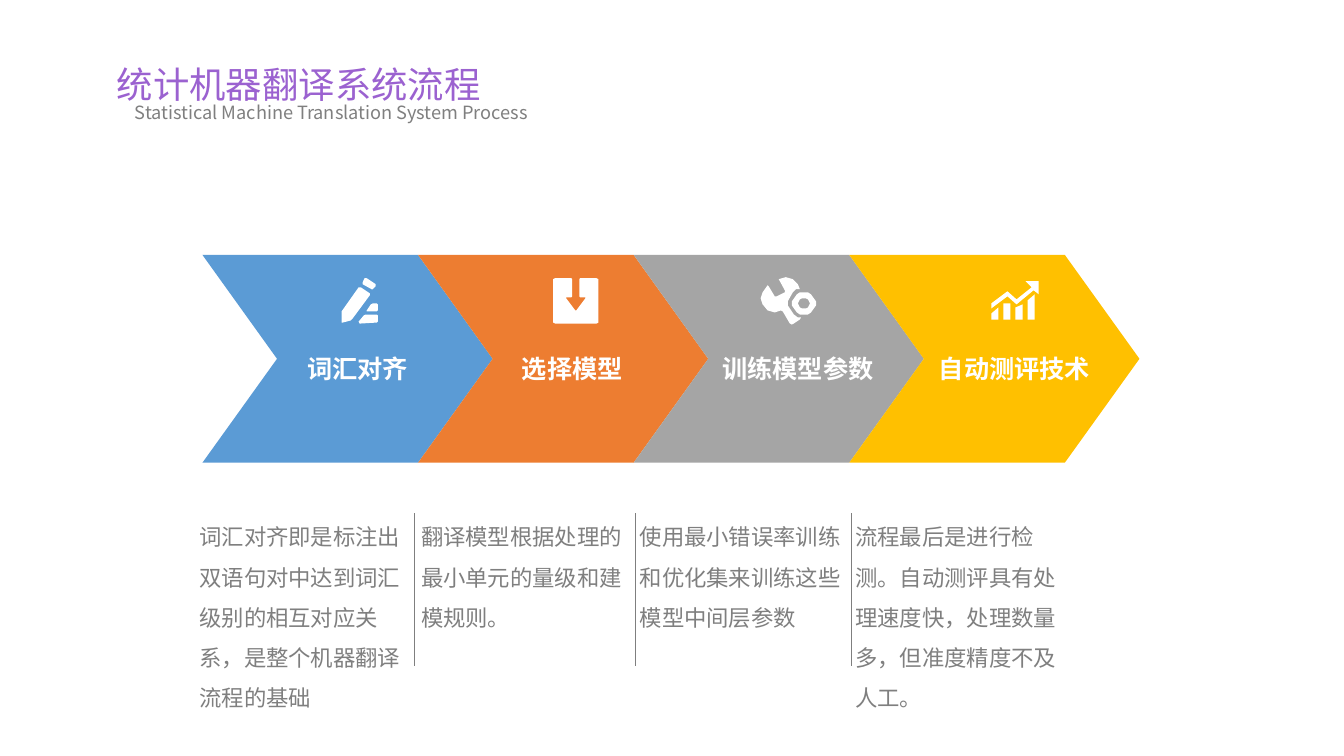
from collections import namedtuple
from math import cos, pi, sin

from lxml import etree
from pptx import Presentation, util as u
from pptx.dml.color import RGBColor
from pptx.enum import shapes, text
from pptx.oxml.ns import qn

PX = 9144
FONT = "Noto Sans CJK SC"
GRAY, WHITE, PURPLE = "7F7F7F", "FFFFFF", "9B62D0"
BLUE, ORANGE, SILVER, GOLD = "5B9BD5", "ED7D31", "A5A5A5", "FFC000"
color = RGBColor.from_string

CHEVRON_LEFT, CHEVRON_TOP = 201, 253
CHEVRON_WIDTH, CHEVRON_HEIGHT, CHEVRON_POINT = 288, 206, 74
CHEVRON_PITCH = CHEVRON_WIDTH - CHEVRON_POINT
LABEL_TOP, LABEL_HEIGHT = 336, 45
BODY_TOP, BODY_WIDTH, BODY_LINE = 506, 210, 40
DIVIDER_TOP, DIVIDER_BOTTOM = 509, 661

presentation = Presentation()
presentation.slide_width, presentation.slide_height = 1334 * PX, 750 * PX
slide = presentation.slides.add_slide(presentation.slide_layouts[6])


def add_text(left, top, width, height, content, size, fill, centred=False):
    box = slide.shapes.add_textbox(left * PX, top * PX, width * PX, height * PX)
    frame = box.text_frame
    frame.text = content
    frame.word_wrap = True
    frame.auto_size = text.MSO_AUTO_SIZE.SHAPE_TO_FIT_TEXT
    frame.margin_left = frame.margin_right = frame.margin_top = frame.margin_bottom = 0
    paragraph = frame.paragraphs[0]
    paragraph.line_spacing = 1.5
    paragraph.alignment = text.PP_ALIGN.CENTER if centred else text.PP_ALIGN.LEFT
    paragraph._p.get_or_add_pPr().set("hangingPunct", "0")
    run = paragraph.runs[0]
    run.font.size = u.Pt(size)
    run.font.bold = centred
    run.font.color.rgb = color(fill)
    run.font.name = FONT
    etree.SubElement(run._r.get_or_add_rPr(), qn("a:ea")).set("typeface", FONT)
    return frame


def paint(shape, fill):
    shape.shadow.inherit = False
    shape.fill.solid()
    shape.fill.fore_color.rgb = color(fill)
    shape.line.fill.background()


add_text(116, 40, 550, 65, "统计机器翻译系统流程", 26, PURPLE)
subtitle = add_text(134, 85, 403, 43, "Statistical Machine Translation System Process", 13, GRAY)
subtitle.word_wrap = False
subtitle.margin_top = subtitle.margin_bottom = 5 * PX
subtitle.margin_right = 10 * PX

Step = namedtuple("Step", "label fill label_left label_width body_left body_lines body")
steps = [
    Step("词汇对齐", BLUE, 280, 150, 198, 5,
         "词汇对齐即是标注出双语句对中达到词汇级别的相互对应关系，是整个机器翻译流程的基础"),
    Step("选择模型", ORANGE, 493, 150, 418, 3,
         "翻译模型根据处理的最小单元的量级和建模规则。"),
    Step("训练模型参数", SILVER, 711, 162, 635, 3,
         "使用最小错误率训练和优化集来训练这些模型中间层参数"),
    Step("自动测评技术", GOLD, 925, 164, 849, 5,
         "流程最后是进行检测。自动测评具有处理速度快，处理数量多，但准度精度不及人工。"),
]
for index, step in enumerate(steps):
    chevron_left = CHEVRON_LEFT + CHEVRON_PITCH * index
    chevron = slide.shapes.add_shape(
        shapes.MSO_SHAPE.CHEVRON, chevron_left * PX, CHEVRON_TOP * PX,
        CHEVRON_WIDTH * PX, CHEVRON_HEIGHT * PX)
    chevron.adjustments[0] = CHEVRON_POINT / CHEVRON_HEIGHT
    paint(chevron, step.fill)
    add_text(step.label_left, LABEL_TOP, step.label_width, LABEL_HEIGHT,
             step.label, 18, WHITE, centred=True)
    add_text(step.body_left, BODY_TOP, BODY_WIDTH, BODY_LINE * step.body_lines,
             step.body, 16, GRAY)

for divider_left in (411, 631, 845):
    divider = slide.shapes.add_connector(
        shapes.MSO_CONNECTOR.STRAIGHT,
        divider_left * PX, DIVIDER_TOP * PX, divider_left * PX, DIVIDER_BOTTOM * PX)
    divider.line.color.rgb = color(GRAY)
    divider.line.width = u.Pt(0.5)
    etree.SubElement(divider._element.spPr, qn("a:effectLst"))

pencil_body = [(367, 291), (367, 293), (350, 316), (348, 318), (340, 320), (339, 320),
               (339, 309), (356, 285), (358, 285)]
pencil_cap = [(373, 282), (373, 284), (370, 287), (369, 287), (360, 282), (360, 280),
              (362, 276), (364, 276)]
long_stroke = [(375, 319), (374, 320), (357, 321), (356, 319), (361, 313), (363, 312),
               (374, 312), (375, 313)]
short_stroke = [(375, 308), (374, 309), (364, 309), (364, 308), (368, 302), (370, 301),
                (374, 301), (375, 302)]

download_middle = 1143
download_right = [(576, 276), (592, 276), (594, 277), (594, 320), (592, 321)]
download_arrow = [(572, 308), (581, 296), (581, 295), (576, 295), (575, 294), (575, 277)]
download_half = download_arrow + download_right
download = download_half + [(download_middle - x, y) for x, y in reversed(download_half)]

wrench = [(794, 317), (788, 321), (786, 322), (784, 321), (777, 309), (775, 308),
          (769, 310), (762, 308), (757, 302), (755, 296), (757, 290), (762, 283),
          (763, 284), (769, 294), (771, 294), (779, 290), (779, 288), (773, 277),
          (780, 275), (787, 277), (792, 282), (794, 287), (790, 287), (787, 290),
          (782, 299), (782, 303), (788, 312), (792, 315), (795, 315)]

nut_x, nut_y, hole_radius, hole_sides = 798, 301, 5.5, 16
nut_right = [(4, -11), (7, -9), (12, -2), (12, 2), (7, 9), (4, 11)]
nut = [(nut_x + side * x, nut_y + side * y) for side in (1, -1) for x, y in nut_right]
hole_angles = [2 * pi * corner / hole_sides for corner in range(hole_sides)]
nut_hole = [(nut_x + hole_radius * cos(angle), nut_y - hole_radius * sin(angle))
            for angle in hole_angles]

bar_left, bar_pitch, bar_width, bar_bottom = 984, 12, 7, 317
bar_tops = [(311, 305), (301, 301), (305, 302), (298, 292)]
bars = []
for index, (left_top, right_top) in enumerate(bar_tops):
    left = bar_left + bar_pitch * index
    right = left + bar_width
    bars.append([(left, left_top), (left, bar_bottom), (right, bar_bottom), (right, right_top)])
trend = [(1031, 279), (1018, 279), (1024, 285), (1009, 297), (1000, 289), (984, 301),
         (984, 306), (1000, 294), (1009, 302), (1026, 288), (1031, 292)]

icon_parts = [[pencil_body], [pencil_cap], [long_stroke], [short_stroke], [download],
              [wrench], [nut, nut_hole], bars, [trend]]
for contours in icon_parts:
    builder = slide.shapes.build_freeform(*contours[0][0], scale=PX)
    for contour in contours:
        if contour is not contours[0]:
            builder.move_to(*contour[0])
        builder.add_line_segments(contour[1:], close=True)
    paint(builder.convert_to_shape(), WHITE)

presentation.save("out.pptx")
